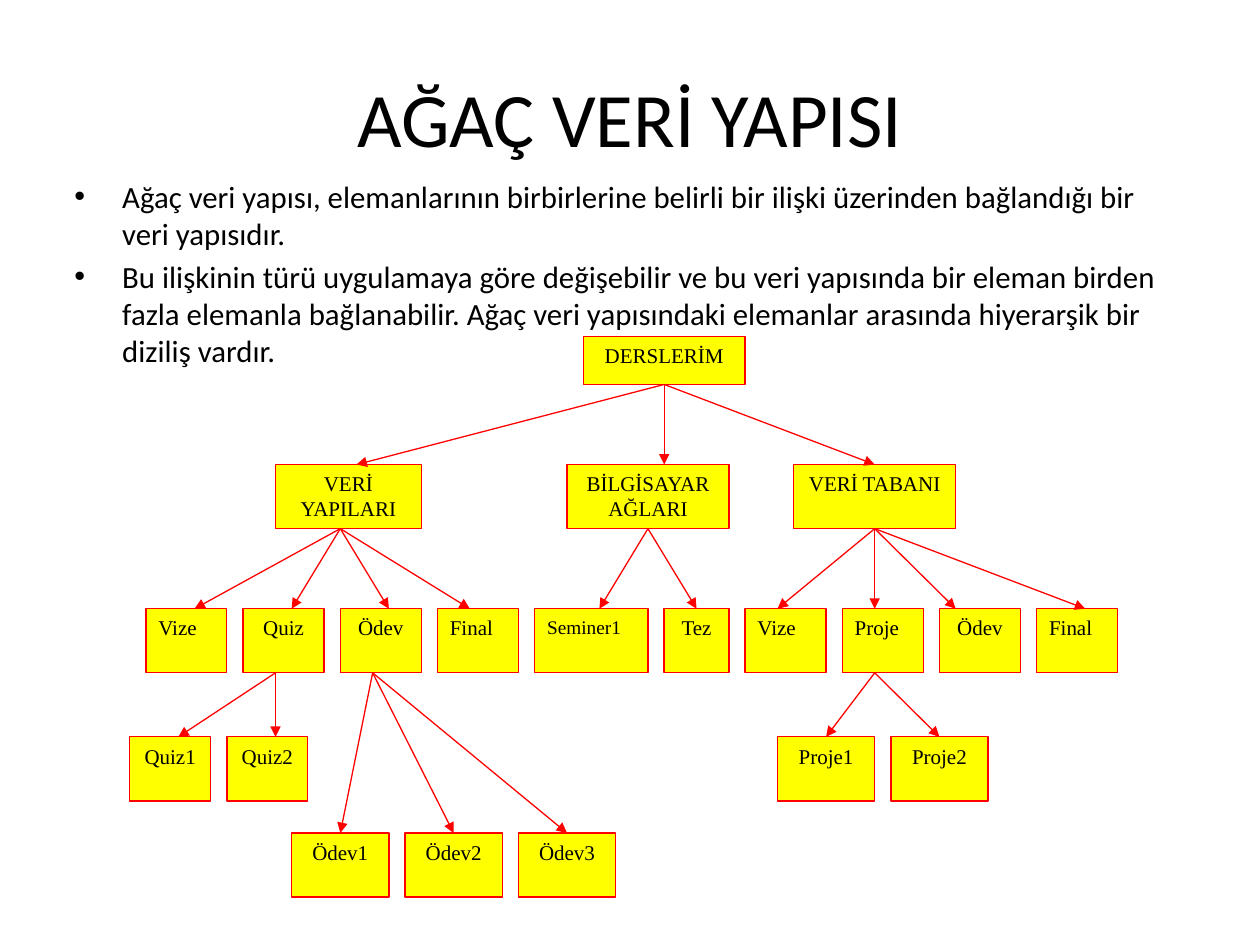
from dataclasses import dataclass
from lxml.etree import SubElement
from pptx import Presentation
from pptx.dml.color import RGBColor
from pptx.enum.shapes import MSO_CONNECTOR, MSO_SHAPE
from pptx.enum.text import MSO_ANCHOR, MSO_AUTO_SIZE, PP_ALIGN
from pptx.oxml.ns import qn
from pptx.util import Inches, Pt

LEFT, MID = PP_ALIGN.LEFT, PP_ALIGN.CENTER
RED, YELLOW, BLACK = "FF0000", "FFFF00", "000000"
HEAD = {"name": "Calibri", "size": Pt(44)}
BODY = {"name": "Calibri", "size": Pt(17.6)}
LABEL = {"name": "Times New Roman", "size": Pt(12)}
SMALL = {**LABEL, "size": Pt(11)}
POINTS = [
    "Ağaç veri yapısı, elemanlarının birbirlerine belirli bir ilişki üzerinden "
    "bağlandığı bir veri yapısıdır.",
    "Bu ilişkinin türü uygulamaya göre değişebilir ve bu veri yapısında bir "
    "eleman birden fazla elemanla bağlanabilir. Ağaç veri yapısındaki elemanlar "
    "arasında hiyerarşik bir diziliş vardır.",
]


@dataclass
class Node:
    """One box of the tree in grid units, with its arrow ends and children."""
    text: str
    col: int
    row: int
    entry: float
    wide: int = 5
    high: int = 4
    exit: float = 0
    align: PP_ALIGN = MID
    font: tuple = tuple(LABEL.items())
    kids: tuple = ()


QUIZ = (Node("Quiz1", 0, 25, 3), Node("Quiz2", 6, 25, 9))
TASKS = tuple(Node(f"Ödev{i + 1}", 10 + 7 * i, 31, 13 + 7 * i, 6) for i in range(3))
PROJECTS = tuple(Node(f"Proje{i + 1}", 40 + 7 * i, 25, 43 + 7 * i, 6) for i in range(2))
DATA = Node("VERİ YAPILARI", 9, 8, 14, 9, exit=13, kids=(
    Node("Vize", 1, 17, 4, align=LEFT),
    Node("Quiz", 7, 17, 10, exit=9, kids=QUIZ),
    Node("Ödev", 13, 17, 16, exit=15, kids=TASKS),
    Node("Final", 19, 17, 21, align=LEFT)))
NETS = Node("BİLGİSAYAR AĞLARI", 27, 8, 33, 10, exit=32, kids=(
    Node("Seminer1", 25, 17, 29, 7, align=LEFT, font=tuple(SMALL.items())),
    Node("Tez", 33, 17, 35, 4)))
BASE = Node("VERİ TABANI", 41, 8, 46, 10, exit=46, kids=(
    Node("Vize", 38, 17, 40, align=LEFT),
    Node("Proje", 44, 17, 46, exit=46, align=LEFT, kids=PROJECTS),
    Node("Ödev", 50, 17, 51),
    Node("Final", 56, 17, 59, align=LEFT)))
ROOT = Node("DERSLERİM", 28, 0, 0, 10, 3, exit=33, kids=(DATA, NETS, BASE))


def paint(part, shade):
    """Give a fill, line fill or font a solid colour."""
    if hasattr(part, "solid"):
        part.solid()
        part.fore_color.rgb = RGBColor.from_string(shade)
    else:
        part.color.rgb = RGBColor.from_string(shade)


def style(para, font, align):
    """Format one paragraph from a dict of font values."""
    para.alignment = align
    for key, value in dict(font).items():
        setattr(para.font, key, value)
    paint(para.font, BLACK)


def place(shape, box):
    """Move a shape to a box and ready its text frame."""
    for key, value in zip(("left", "top", "width", "height"), box):
        setattr(shape, key, value)
    frame = shape.text_frame
    frame.word_wrap = True
    frame.auto_size = MSO_AUTO_SIZE.NONE
    return frame


def add_title(slide, box):
    """Fill the title placeholder."""
    frame = place(slide.shapes.title, box)
    frame.vertical_anchor = MSO_ANCHOR.MIDDLE
    frame.text = "AĞAÇ VERİ YAPISI"
    style(frame.paragraphs[0], HEAD, MID)


def add_list(slide, box):
    """Fill the body placeholder with bulleted points."""
    frame = place(slide.placeholders[1], box)
    frame.vertical_anchor = MSO_ANCHOR.TOP
    frame.text = "\n".join(POINTS)
    for i, para in enumerate(frame.paragraphs):
        para.space_before = Pt(3.5 if i else 0)
        props = para._p.get_or_add_pPr()
        props.set("marL", str(Inches(0.38)))
        props.set("indent", str(-Inches(0.38)))
        SubElement(props, qn("a:buFont"), typeface="Arial")
        SubElement(props, qn("a:buChar"), char="•")
        style(para, BODY, LEFT)


def add_node(slide, node, box):
    """Draw one labelled rectangle of the tree."""
    x, y, w, h = box
    across, down = w / 61, h / 35
    shape = slide.shapes.add_shape(MSO_SHAPE.RECTANGLE, 0, 0, 0, 0)
    frame = place(shape, (int(x + node.col * across), int(y + node.row * down),
                          int(node.wide * across), int(node.high * down)))
    shape.shadow.inherit = False
    paint(shape.fill, YELLOW)
    paint(shape.line.fill, RED)
    shape.line.width = Pt(0.75)
    frame.vertical_anchor = MSO_ANCHOR.TOP
    frame.text = node.text
    style(frame.paragraphs[0], node.font, node.align)
    return shape


def add_arrow(slide, node, kid, start, end, box):
    """Draw an arrow from a node to its child, joined where it meets a middle."""
    x, across = box[0], box[2] / 61
    line = slide.shapes.add_connector(
        MSO_CONNECTOR.STRAIGHT,
        int(x + node.exit * across), start.top + start.height,
        int(x + kid.entry * across), end.top)
    if node.exit == node.col + node.wide / 2:
        line.begin_connect(start, 2)
    if kid.entry == kid.col + kid.wide / 2:
        line.end_connect(end, 0)
    paint(line.line.fill, RED)
    line.line.width = Pt(0.75)
    SubElement(line.line._get_or_add_ln(), qn("a:tailEnd"), type="triangle")
    SubElement(line._element.spPr, qn("a:effectLst"))


def add_tree(slide, node, box):
    """Draw a node, its children and the arrows between them."""
    shape = add_node(slide, node, box)
    for kid in node.kids:
        add_arrow(slide, node, kid, shape, add_tree(slide, kid, box), box)
    return shape


def main():
    """Build and save the slide."""
    deck = Presentation()
    deck.slide_width, deck.slide_height = Inches(10), Inches(7.5)
    slide = deck.slides.add_slide(deck.slide_layouts[1])
    add_title(slide, [Inches(n) for n in (0.5, 0.3, 9, 1.25)])
    add_list(slide, [Inches(n) for n in (0.49, 1.36, 9, 1.37)])
    add_tree(slide, ROOT, [Inches(n) for n in (1.03, 2.67, 7.84, 4.45)])
    deck.save("out.pptx")


if __name__ == "__main__":
    main()
